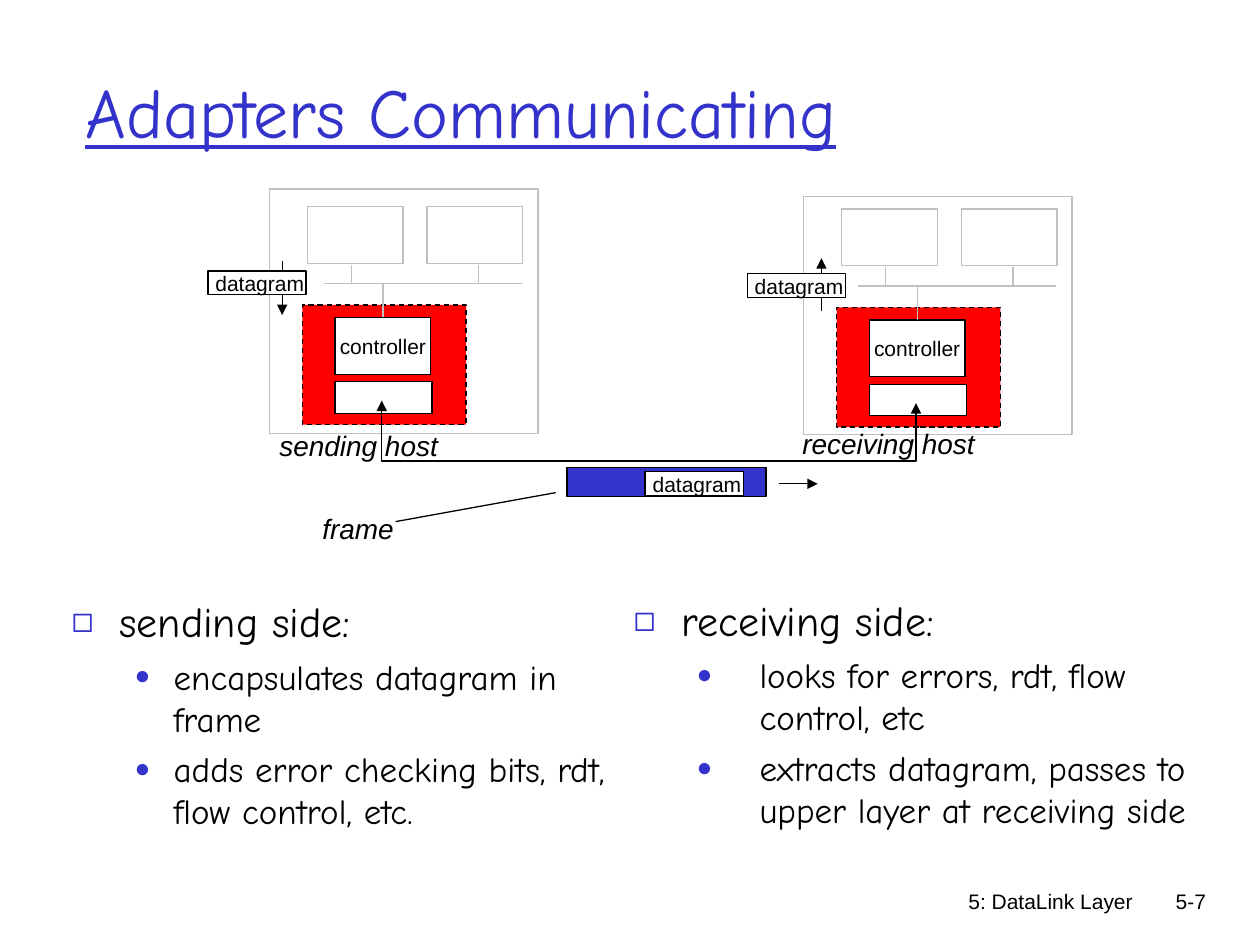
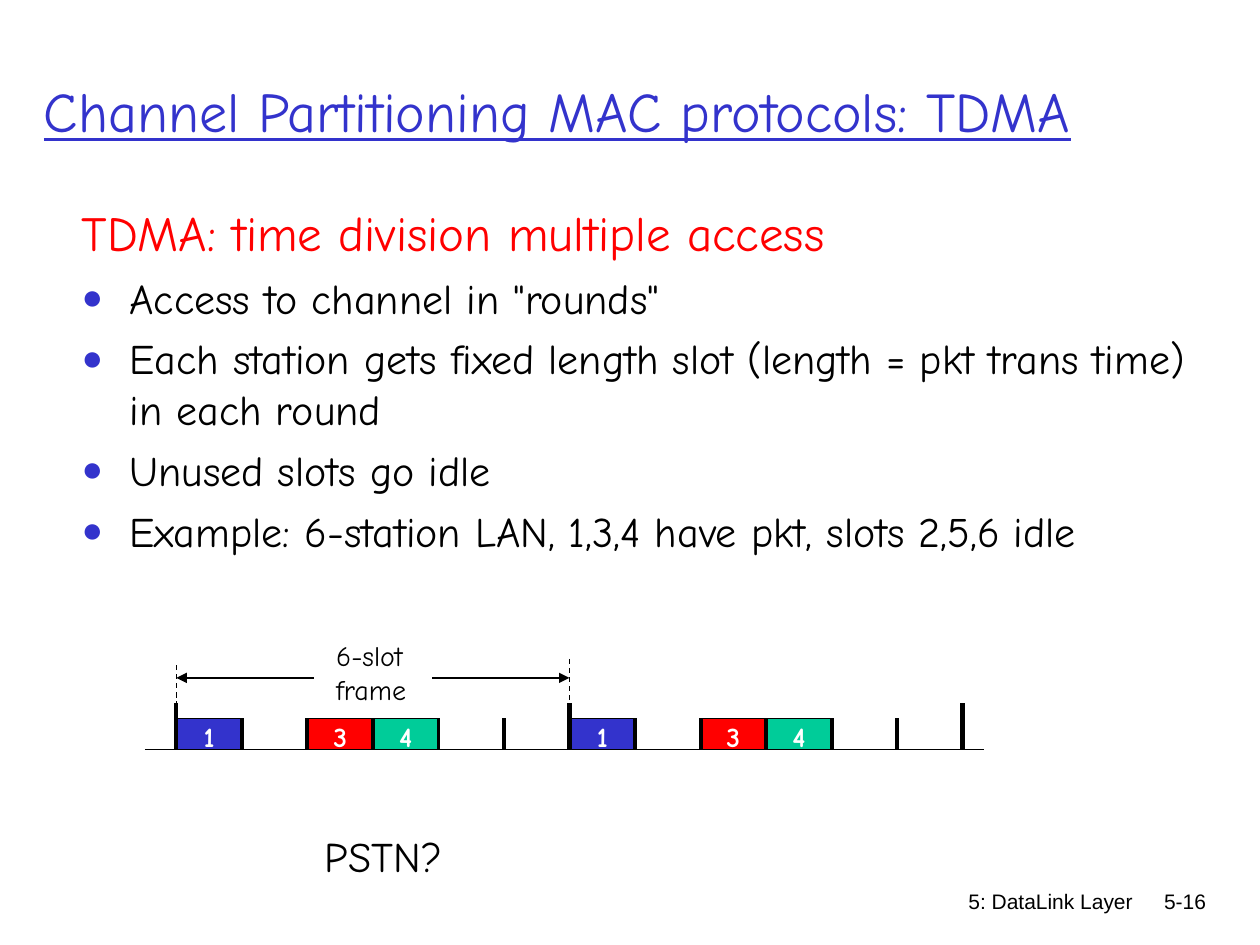
"""Build two data link layer slides: adapters communicating and TDMA."""
from lxml import etree
from pptx import Presentation
from pptx.dml.color import RGBColor
from pptx.enum import dml, shapes, text
from pptx.oxml import ns
from pptx.util import Inches, Pt

COLORS = dict(blue="3333CC", red="FF0000", green="00CC99", gray="C0C0C0",
              white="FFFFFF", black="000000")
HAND, SANS = "Comic Neue", "Arial"
FOOTER = "5: DataLink Layer"
INSETS = (0.1, 0.05, 0.1, 0.05)

HEAD = dict(size=24, left=0.38, hang=0.38, before=6, bullet="◻", bullet_size=85)
DOT = dict(HEAD, bullet="●")
SUB = dict(size=20, left=0.81, hang=0.31, before=5, bullet="●", bullet_size=75)
WIDE_SUB = dict(SUB, left=1, hang=0.5)

SIDES = [
    ((0.47, 4.68, 4.45, 2.12), [
        ("sending side:", HEAD),
        ("encapsulates datagram in frame", SUB),
        ("adds error checking bits, rdt, flow control, etc.", SUB)]),
    ((4.93, 4.67, 4.86, 2.02), [
        ("receiving side:", HEAD),
        ("looks for errors, rdt, flow control, etc", WIDE_SUB),
        ("extracts datagram, passes to upper layer at receiving side", WIDE_SUB)]),
]
HOSTS = [
    dict(name="sending host", name_box=(2.12, 3.35, 1.7, 0.37),
         frame=(2.14, 1.5, 2.13, 1.94), origin=(2.4, 2.42),
         arrow=((2.24, 2.07), (2.24, 2.5)), datagram=(1.65, 2.15)),
    dict(name="receiving host", name_box=(6.27, 3.34, 1.7, 0.37),
         frame=(6.38, 1.56, 2.13, 1.89), origin=(6.64, 2.44),
         arrow=((6.52, 2.47), (6.52, 2.05)), datagram=(5.93, 2.17)),
]
CABLE = [(3.03, 3.18), (3.03, 3.66), (7.27, 3.66), (7.27, 3.2)]

TDMA = [
    ("TDMA: time division multiple access",
     dict(size=28, color="red", left=0.38, hang=0.38)),
    ('Access to channel in "rounds"', DOT),
    ("Each station gets fixed length slot (length = pkt trans time) in each round", DOT),
    ("Unused slots go idle", DOT),
    ("Example: 6-station LAN, 1,3,4 have pkt, slots 2,5,6 idle", DOT),
]
STATIONS = {1: "blue", 3: "red", 4: "green"}
SLOTS, FRAMES, PITCH = 6, 2, 0.52
AXIS_X, AXIS_Y, SLOT_H, TALL_H = 1.4, 5.95, 0.25, 0.37


def rgb(name):
    return RGBColor.from_string(COLORS[name])


def add_xml(parent, tag, **attrs):
    return etree.SubElement(parent, ns.qn(tag), attrs)


def write(sp, paras, size=12, font=SANS, color="black", bold=False, italic=False,
          underline=False, align="LEFT", anchor="TOP", wrap=True, insets=INSETS,
          left=0, hang=0, before=0, bullet=None, bullet_size=100):
    """Fill a shape with one text or a list of (text, format) pairs."""
    base = dict(size=size, color=color, left=left, hang=hang, before=before,
                bullet=bullet, bullet_size=bullet_size)
    tf = sp.text_frame
    tf.word_wrap = wrap
    tf.vertical_anchor = getattr(text.MSO_ANCHOR, anchor)
    tf.margin_left, tf.margin_top, tf.margin_right, tf.margin_bottom = map(Inches, insets)
    if isinstance(paras, str):
        paras = [(paras, {})]
    for i, (words, own) in enumerate(paras):
        f = {**base, **own}
        p = tf.add_paragraph() if i else tf.paragraphs[0]
        pPr = p._p.get_or_add_pPr()
        pPr.set("marL", str(Inches(f["left"])))
        pPr.set("indent", str(-Inches(f["hang"])))
        if f["bullet"]:
            add_xml(add_xml(pPr, "a:buClr"), "a:srgbClr", val=COLORS["blue"])
            add_xml(pPr, "a:buSzPct", val=str(f["bullet_size"] * 1000))
            add_xml(pPr, "a:buFont", typeface=SANS)
            add_xml(pPr, "a:buChar", char=f["bullet"])
        else:
            add_xml(pPr, "a:buNone")
        p.alignment = getattr(text.PP_ALIGN, align)
        if i:
            p.space_before = Pt(f["before"])
        r = p.add_run()
        r.text = words
        r.font.name, r.font.size = font, Pt(f["size"])
        r.font.bold, r.font.italic, r.font.underline = bold, italic, underline
        r.font.color.rgb = rgb(f["color"])


def label(s, box, paras, **fmt):
    sp = s.shapes.add_textbox(*map(Inches, box))
    write(sp, paras, **fmt)
    return sp


def outline(sp, color="black", width=0.75, dash=False, head=False, tail=False):
    sp.line.color.rgb = rgb(color)
    sp.line.width = Pt(width)
    if dash:
        sp.line.dash_style = dml.MSO_LINE.DASH
    for tag, wanted in (("a:headEnd", head), ("a:tailEnd", tail)):
        if wanted:
            add_xml(sp.line._get_or_add_ln(), tag, type="triangle")


def rect(s, box, fill="white", line="black", dash=False):
    sp = s.shapes.add_shape(shapes.MSO_SHAPE.RECTANGLE, *map(Inches, box))
    sp.shadow.inherit = False
    sp.fill.solid()
    sp.fill.fore_color.rgb = rgb(fill)
    outline(sp, line, dash=dash)
    return sp


def line(s, start, end, **style):
    c = s.shapes.add_connector(shapes.MSO_CONNECTOR.STRAIGHT, *map(Inches, start + end))
    outline(c, **style)
    add_xml(c._element.spPr, "a:effectLst")
    return c


def add_slide(prs, title, box, size, number):
    s = prs.slides.add_slide(prs.slide_layouts[6])
    label(s, (5.92, 7, 3.17, 0.5), FOOTER, align="RIGHT")
    label(s, (8.93, 7, 0.74, 0.5), number, align="RIGHT")
    label(s, box, title, size=size, font=HAND, color="blue", underline=True,
          anchor="MIDDLE")
    return s


def datagram(s, x, y):
    write(rect(s, (x, y, 0.78, 0.19)), "datagram", anchor="MIDDLE", wrap=False,
          insets=(0.06, 0.01, 0, 0))


def host(s, spec):
    x, y = spec["origin"]
    bus_y = y - 0.17
    rect(s, spec["frame"], line="gray")
    line(s, *spec["arrow"], tail=True)
    rect(s, (x, y, 1.3, 0.95), fill="red", dash=True)
    rect(s, (x + 0.26, y + 0.61, 0.77, 0.25))
    controller = rect(s, (x + 0.26, y + 0.1, 0.76, 0.45))
    write(controller, "controller", align="CENTER", anchor="MIDDLE", wrap=False)
    line(s, (x + 0.17, bus_y), (x + 1.74, bus_y), color="gray")
    drop_x = x + 0.64
    drop = line(s, (drop_x, bus_y), (drop_x, y + 0.1), color="gray")
    drop.end_connect(controller, 0)
    for unit_x, stem_x in ((x + 0.04, x + 0.39), (x + 0.99, x + 1.4)):
        rect(s, (unit_x, y - 0.78, 0.76, 0.45), line="gray")
        line(s, (stem_x, bus_y), (stem_x, y - 0.32), color="gray")
    label(s, spec["name_box"], spec["name"], size=16, italic=True)
    datagram(s, *spec["datagram"])


def adapters_slide(prs):
    s = add_slide(prs, "Adapters Communicating", (0.58, 0.25, 8.5, 1.25), 40, "5-7")
    for box, points in SIDES:
        label(s, box, points, font=HAND)
    for spec in HOSTS:
        host(s, spec)
    points = [(Inches(x), Inches(y)) for x, y in CABLE]
    builder = s.shapes.build_freeform(*points[0])
    builder.add_line_segments(points[1:], close=False)
    cable = builder.convert_to_shape()
    cable.shadow.inherit = False
    cable.fill.background()
    outline(cable, head=True, tail=True)
    rect(s, (4.5, 3.71, 1.58, 0.23), fill="blue")
    datagram(s, 5.12, 3.74)
    line(s, (6.18, 3.84), (6.49, 3.84), tail=True)
    label(s, (2.46, 4.01, 1, 0.37), "frame", size=16, italic=True)
    line(s, (3.14, 4.14), (4.41, 3.91))


def tdma_slide(prs):
    s = add_slide(prs, "Channel Partitioning MAC protocols: TDMA",
                  (0.25, 0.25, 9.44, 1.25), 32, "5-16")
    label(s, (0.55, 1.56, 9.04, 3.2), TDMA, font=HAND)
    line(s, (1.15, AXIS_Y), (7.81, AXIS_Y))
    for frame in range(FRAMES):
        for station, color in STATIONS.items():
            x = AXIS_X + (frame * SLOTS + station - 1) * PITCH
            slot = rect(s, (x, AXIS_Y - SLOT_H, PITCH, SLOT_H), fill=color)
            write(slot, str(station), size=16, font=HAND, color="white", bold=True,
                  align="CENTER", anchor="MIDDLE", wrap=False, insets=(0, 0.04, 0, 0))
    for i in range(FRAMES * SLOTS + 1):
        x = AXIS_X + i * PITCH
        height = SLOT_H if i % SLOTS else TALL_H
        line(s, (x, AXIS_Y - height), (x, AXIS_Y),
             width=2.25 if i % SLOTS or not i else 3)
    label(s, (2.57, 5.02, 0.9, 0.64), [("6-slot", {}), ("frame", {})],
          size=16, font=HAND)
    frame_end = AXIS_X + SLOTS * PITCH
    for inner, edge, top in ((2.49, AXIS_X, 5.28), (3.43, frame_end, 5.23)):
        line(s, (inner, 5.38), (edge, 5.38), tail=True)
        line(s, (edge, top), (edge, top + 0.33), dash=True)
    label(s, (2.48, 6.54, 1.3, 0.5), "PSTN?", size=24, font=HAND)


def main():
    prs = Presentation()
    prs.slide_width, prs.slide_height = Inches(10), Inches(7.5)
    adapters_slide(prs)
    tdma_slide(prs)
    prs.save("out.pptx")


if __name__ == "__main__":
    main()
